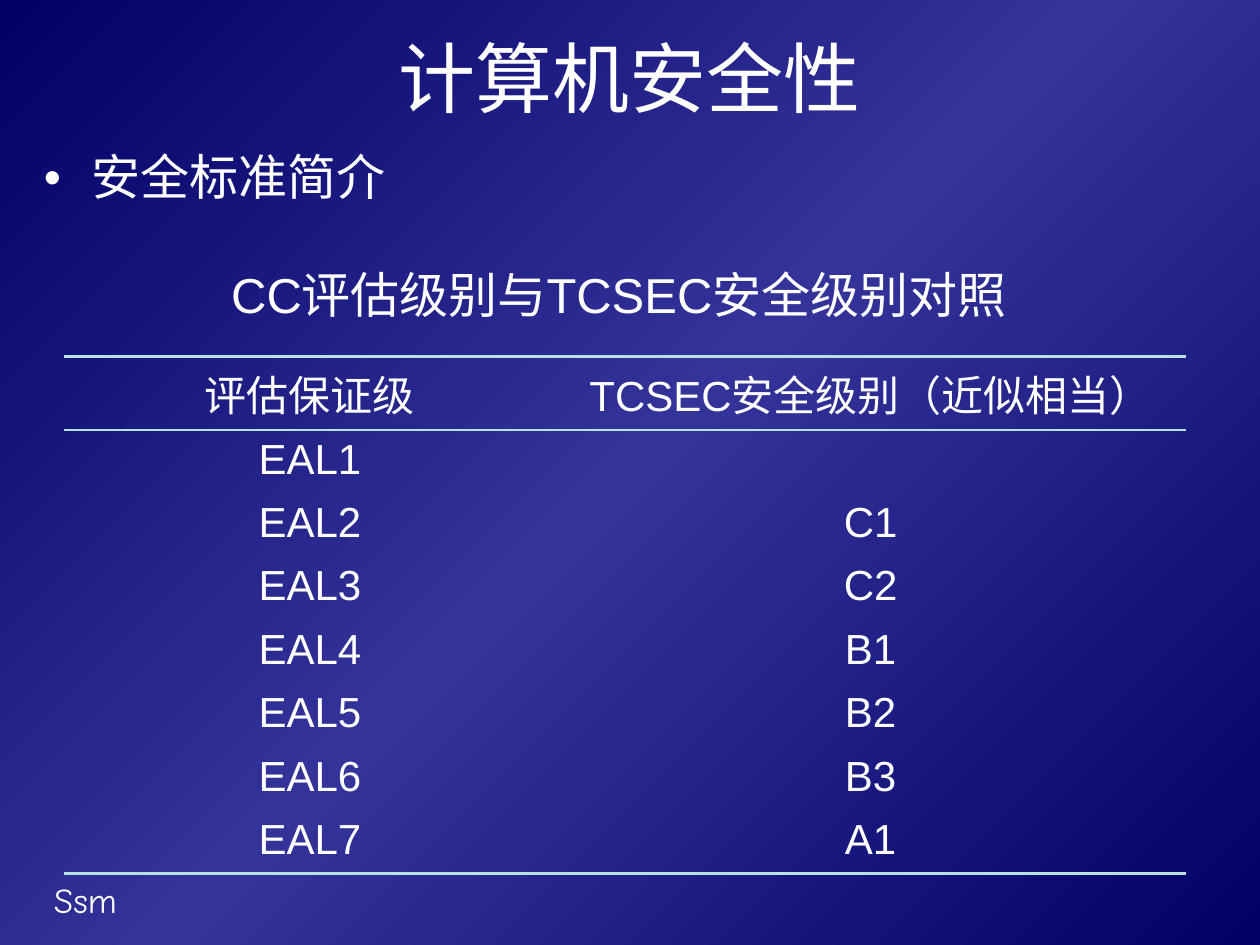
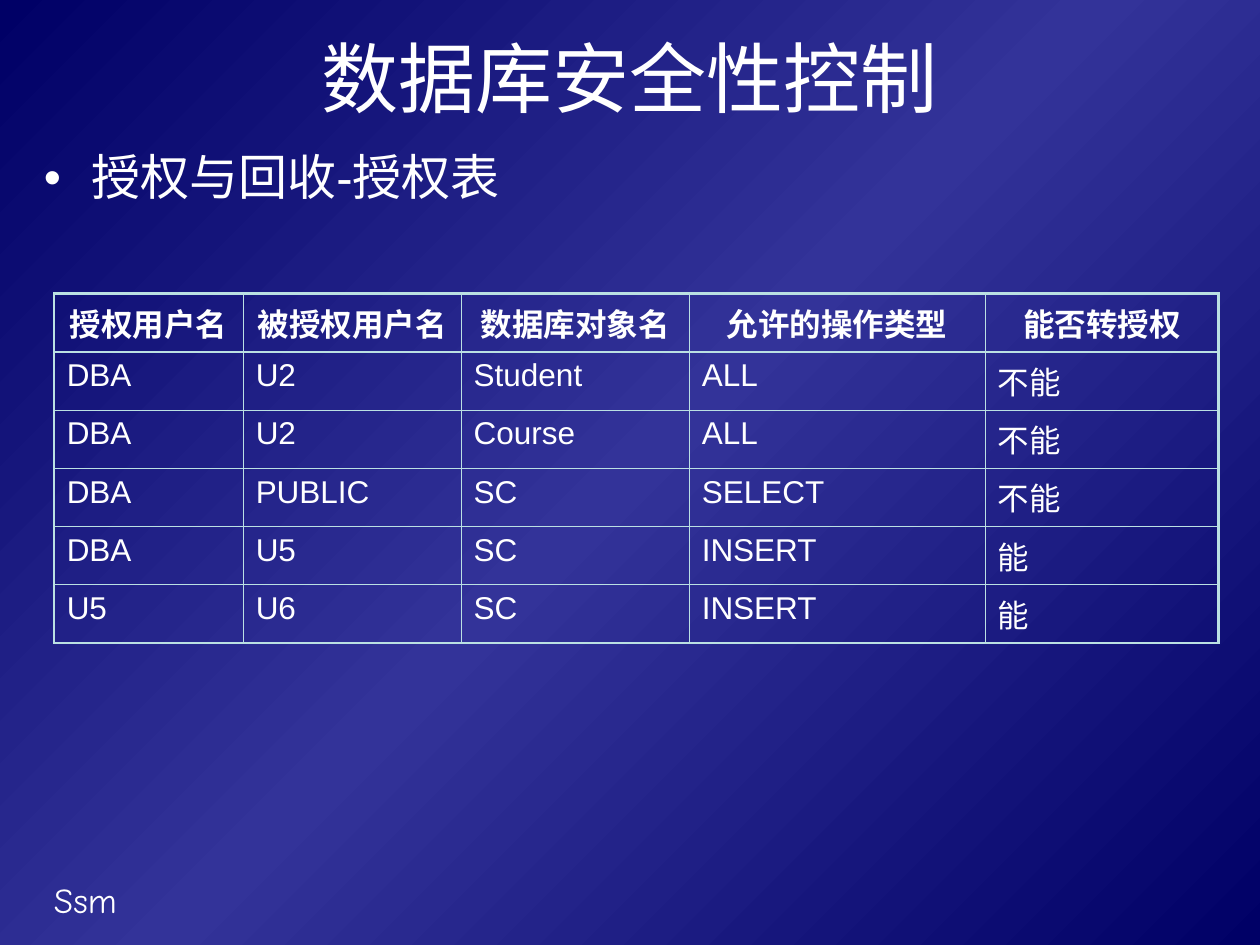
from copy import deepcopy
from dataclasses import dataclass

from lxml.etree import SubElement
from pptx import Presentation
from pptx.dml.color import RGBColor as RGB
from pptx.enum.text import MSO_ANCHOR as Anchor, MSO_AUTO_SIZE as AutoSize, PP_ALIGN as Align
from pptx.oxml.ns import qn
from pptx.util import Inches, Pt

COLUMNS, ROWS = 100, 75


@dataclass(frozen=True)
class Theme:
    ink: RGB = RGB(0xFF, 0xFF, 0xFF)
    rule: RGB = RGB(0xBB, 0xE0, 0xE3)
    edge: RGB = RGB(0x00, 0x00, 0x66)
    glow: RGB = RGB(0x33, 0x33, 0x99)
    font: str = "Arial"
    footer_font: str = "Comic Neue"
    title: int = 44
    body: int = 28
    footer: int = 20
    level_table: int = 24
    grant_table: int = 18
    heavy: float = 1.47
    hairline: float = 0.45


def apply(target, formats):
    for name, setting in formats.items():
        setattr(target, name, setting)


class Deck:
    """Builds slides that share one theme on a grid of columns and rows."""

    def __init__(self, theme):
        self.theme = theme
        self.show = Presentation()
        apply(self.show, {"slide_width": Inches(10), "slide_height": Inches(7.5)})
        self.slide = None
        self.paint_background()

    def paint_background(self):
        master = self.show.slide_master
        fill = master.background.fill
        fill.gradient()
        fill.gradient_angle = 135
        ramp = master.element.find(".//" + qn("a:gsLst"))
        ramp.insert(1, deepcopy(ramp[0]))
        shades = (self.theme.edge, self.theme.glow, self.theme.edge)
        for index, (stop, shade) in enumerate(zip(fill.gradient_stops, shades)):
            stop.position = index / 2
            stop.color.rgb = shade

    def across(self, columns):
        return round(self.show.slide_width * columns / COLUMNS)

    def down(self, rows):
        return round(self.show.slide_height * rows / ROWS)

    def box(self, left, top, width, height):
        return self.across(left), self.down(top), self.across(width), self.down(height)

    def put_words(self, frame, words, size, font=None, bold=False, **layout):
        paragraph = frame.paragraphs[0]
        apply(paragraph, layout)
        run = paragraph.add_run()
        run.text = words
        apply(run.font, {"name": font or self.theme.font, "size": Pt(size), "bold": bold})
        run.font.color.rgb = self.theme.ink
        return paragraph

    def text(self, words, place, size, **formats):
        frame = self.slide.shapes.add_textbox(*self.box(*place)).text_frame
        frame.word_wrap = True
        return self.put_words(frame, words, size, **formats)

    def start(self, heading, topic):
        self.slide = self.show.slides.add_slide(self.show.slide_layouts[5])
        self.text("Ssm", (3.3, 69.2, 20.8, 4.4), self.theme.footer, font=self.theme.footer_font)
        title = self.slide.shapes.title
        place = self.box(5, 1.7, 90, 8.7)
        apply(title, dict(zip(("left", "top", "width", "height"), place)))
        apply(title.text_frame, {"auto_size": AutoSize.NONE, "vertical_anchor": Anchor.MIDDLE})
        self.put_words(title.text_frame, heading, self.theme.title, alignment=Align.CENTER)
        self.bullet(topic)

    def bullet(self, words):
        paragraph = self.text(words, (2.5, 11.7, 95.5, 7), self.theme.body, line_spacing=0.9)
        properties = paragraph._p.get_or_add_pPr()
        indent = self.across(3.8)
        properties.set("marL", str(indent))
        properties.set("indent", str(-indent))
        SubElement(properties, qn("a:buFont"), typeface=self.theme.font)
        SubElement(properties, qn("a:buChar"), char="•")

    def caption(self, words, place):
        self.text(words, place, self.theme.body, alignment=Align.CENTER, line_spacing=0.9)

    def border(self, cell, edges):
        properties = cell._tc.get_or_add_tcPr()
        for index, (side, points) in enumerate(edges.items()):
            line = SubElement(properties, qn(f"a:ln{side}"), w=str(Pt(points)))
            if points:
                paint = SubElement(line, qn("a:solidFill"))
                SubElement(paint, qn("a:srgbClr"), val=str(self.theme.rule))
            else:
                SubElement(line, qn("a:noFill"))
            properties.insert(index, line)

    def table(self, records, corner, widths, heights, size, body_align, bold_header, inner, sides):
        place = self.box(*corner, sum(widths), sum(heights))
        grid = self.slide.shapes.add_table(len(records), len(widths), *place).table
        apply(grid, {"first_row": False, "horz_banding": False})
        for column, width in zip(grid.columns, widths):
            column.width = self.across(width)
        heavy = self.theme.heavy
        last_row, last_column = len(records) - 1, len(widths) - 1
        for r, record in enumerate(records):
            grid.rows[r].height = self.down(heights[r])
            for c, words in enumerate(record):
                cell = grid.cell(r, c)
                cell.fill.background()
                self.border(cell, {
                    "L": sides if c == 0 else inner,
                    "R": sides if c == last_column else inner,
                    "T": heavy if r <= 1 else inner,
                    "B": heavy if r in (0, last_row) else inner,
                })
                if words:
                    self.put_words(cell.text_frame, words, size, bold=bold_header and r == 0,
                                   alignment=body_align if r else Align.CENTER)


def main():
    theme = Theme()
    deck = Deck(theme)

    deck.start("计算机安全性", "安全标准简介")
    deck.caption("CC评估级别与TCSEC安全级别对照", (4.6, 21, 89, 7))
    ratings = ["", "C1", "C2", "B1", "B2", "B3", "A1"]
    levels = [("评估保证级", "TCSEC安全级别（近似相当）")]
    levels += [(f"EAL{number}", rating) for number, rating in enumerate(ratings, 1)]
    deck.table(levels, (5.1, 28.3), (39, 50), [5.83] + [5.03] * len(ratings),
               size=theme.level_table, body_align=Align.CENTER, bold_header=False,
               inner=0, sides=0)

    deck.start("数据库安全性控制", "授权与回收-授权表")
    grants = [
        ("授权用户名", "被授权用户名", "数据库对象名", "允许的操作类型", "能否转授权"),
        ("DBA", "U2", "Student", "ALL", "不能"),
        ("DBA", "U2", "Course", "ALL", "不能"),
        ("DBA", "PUBLIC", "SC", "SELECT", "不能"),
        ("DBA", "U5", "SC", "INSERT", "能"),
        ("U5", "U6", "SC", "INSERT", "能"),
    ]
    deck.table(grants, (4.3, 23.3), (15, 17.3, 18.1, 23.5, 18.5), [4.62] * len(grants),
               size=theme.grant_table, body_align=Align.LEFT, bold_header=True,
               inner=theme.hairline, sides=theme.heavy)

    deck.show.save("out.pptx")


if __name__ == "__main__":
    main()
